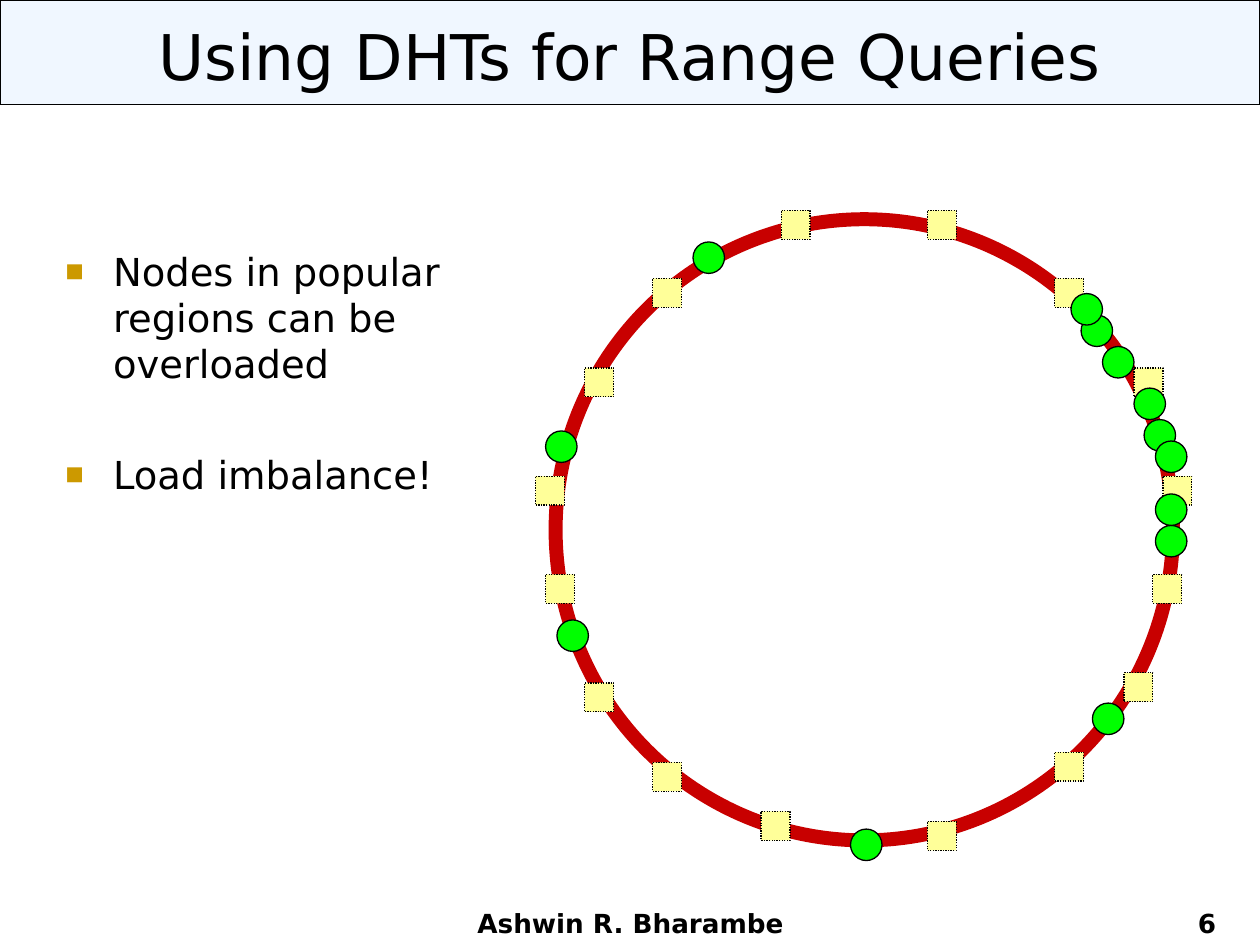
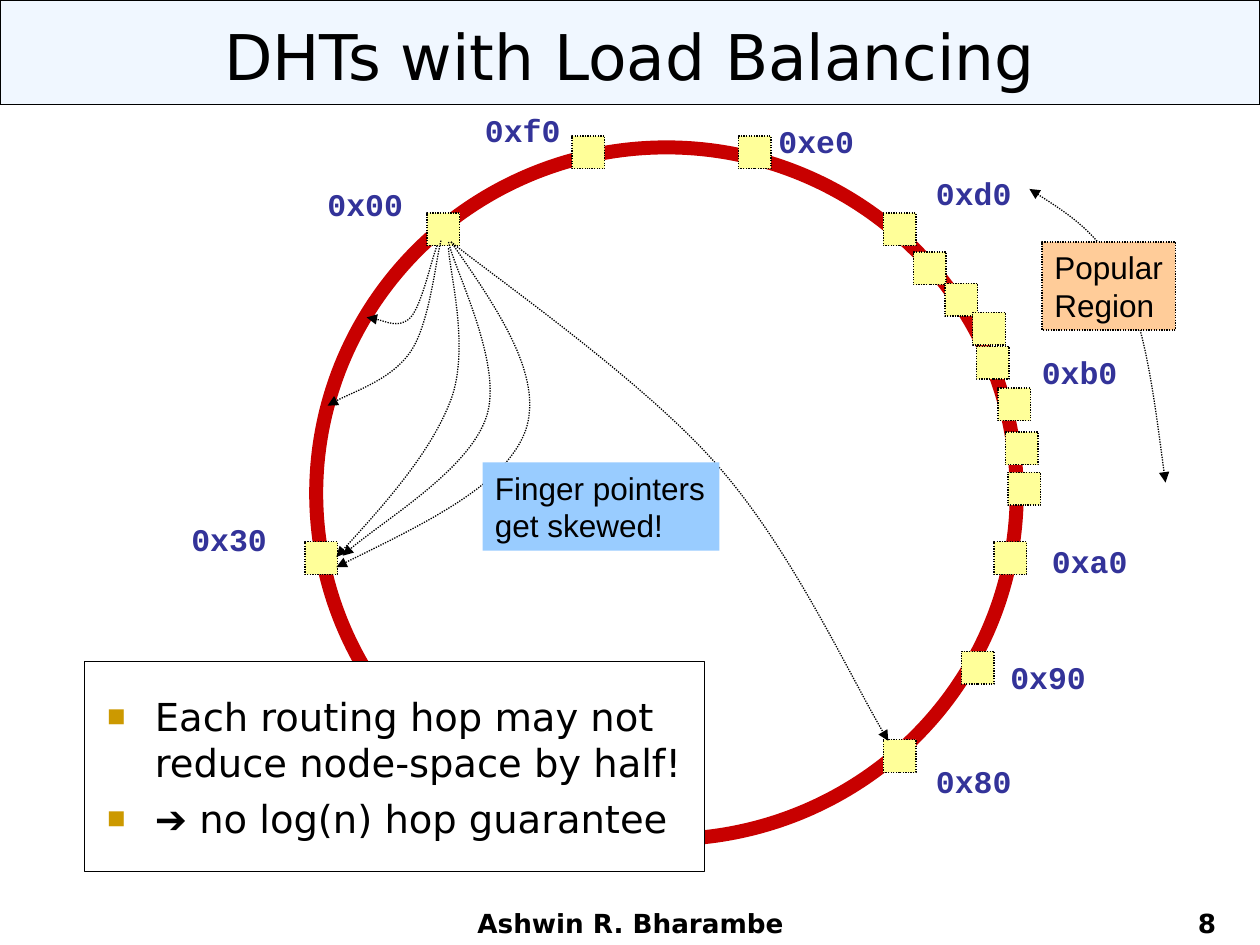
import pptx
import pptx.util
import pptx.dml.color
import pptx.enum.dml
import pptx.enum.shapes
import pptx.enum.text
import pptx.oxml.ns
import lxml.etree

Inches = pptx.util.Inches
qn = pptx.oxml.ns.qn
SHAPE = pptx.enum.shapes.MSO_SHAPE
ALIGN = pptx.enum.text.PP_ALIGN
ANCHOR = pptx.enum.text.MSO_ANCHOR
FIT = pptx.enum.text.MSO_AUTO_SIZE
DOTTED = pptx.enum.dml.MSO_LINE.ROUND_DOT

COLORS = {
    "black": "000000",
    "white": "FFFFFF",
    "band": "F0F7FF",
    "ring": "C80000",
    "node": "FFFF99",
    "item": "00FF00",
    "bullet": "CC9900",
    "address": "333399",
    "finger": "99CCFF",
    "popular": "FFCC99",
}
BODY_FONT = "DejaVu Sans"


def rgb(name):
    return pptx.dml.color.RGBColor.from_string(COLORS[name])


def add_box(page, at, text=(), kind=None, fill=None, line=None, weight=0.75, dash=None,
            font=BODY_FONT, size=18, color="black", bold=False, align=ALIGN.LEFT,
            anchor=ANCHOR.TOP, wrap=True, bullets=False, gap=5.5, inset=0.1):
    place = [Inches(length) for length in at]
    if kind is None:
        box = page.shapes.add_textbox(*place)
    else:
        box = page.shapes.add_shape(kind, *place)
        box.shadow.inherit = False
    if fill:
        box.fill.solid()
        box.fill.fore_color.rgb = rgb(fill)
    else:
        box.fill.background()
    if line:
        box.line.color.rgb = rgb(line)
        box.line.width = pptx.util.Pt(weight)
        if dash:
            box.line.dash_style = dash
    else:
        box.line.fill.background()
    frame = box.text_frame
    frame.word_wrap = wrap
    frame.auto_size = FIT.NONE if wrap else FIT.SHAPE_TO_FIT_TEXT
    frame.vertical_anchor = anchor
    frame.margin_left = Inches(inset)
    for index, content in enumerate([text] if isinstance(text, str) else text):
        para = frame.add_paragraph() if index else frame.paragraphs[0]
        para.alignment = align
        if bullets:
            para.space_before = pptx.util.Pt(gap if index else 5.5)
            props = para._p.get_or_add_pPr()
            props.set("marL", str(Inches(0.38)))
            props.set("indent", str(-Inches(0.38)))
            tint = lxml.etree.SubElement(props, qn("a:buClr"))
            lxml.etree.SubElement(tint, qn("a:srgbClr"), val=COLORS["bullet"])
            lxml.etree.SubElement(props, qn("a:buSzPct"), val="80000")
            lxml.etree.SubElement(props, qn("a:buFont"), typeface="Arial")
            lxml.etree.SubElement(props, qn("a:buChar"), char="■")
        for words, face in [(content, font)] if isinstance(content, str) else content:
            span = para.add_run()
            span.text = words
            span.font.name = face
            span.font.size = pptx.util.Pt(size)
            span.font.bold = bold
            span.font.color.rgb = rgb(color)
    return box


deck = pptx.Presentation()
deck.slide_width = Inches(10)
deck.slide_height = Inches(7.5)

pages = []
for title, number in [("Using DHTs for Range Queries", "6"), ("DHTs with Load Balancing", "8")]:
    page = deck.slides.add_slide(deck.slide_layouts[6])
    add_box(page, (0, 0, 10, 0.83), kind=SHAPE.RECTANGLE, fill="band", line="black")
    add_box(page, (0.5, 0.06, 9, 0.75), title, size=36, align=ALIGN.CENTER, anchor=ANCHOR.MIDDLE)
    add_box(page, (3.42, 7.33, 3.17, 0.17), "Ashwin R. Bharambe", size=15, bold=True,
            align=ALIGN.CENTER, anchor=ANCHOR.BOTTOM)
    add_box(page, (7.42, 7.25, 2.33, 0.25), number, size=15, bold=True,
            align=ALIGN.RIGHT, anchor=ANCHOR.BOTTOM)
    pages.append(page)
range_page, balance_page = pages

range_nodes = [
    (5.18, 2.21), (4.64, 2.92), (4.25, 3.78), (4.33, 4.56), (4.64, 5.42), (5.18, 6.05),
    (6.2, 1.67), (6.04, 6.44), (8.37, 2.21), (9, 2.92), (9.23, 3.78), (9.15, 4.56),
    (8.92, 5.34), (8.37, 5.97), (7.36, 1.67), (7.36, 6.52),
]
balance_nodes = [
    (3.39, 1.69), (7.25, 2), (7.92, 3.08), (2.42, 4.3), (7.5, 2.25), (7.75, 2.75),
    (4.54, 1.08), (8, 3.75), (7.01, 1.69), (7.72, 2.48), (7.98, 3.43), (7.89, 4.3),
    (7.63, 5.17), (7.01, 5.87), (5.86, 1.08),
]
for page, ring, nodes, side in [
    (range_page, (4.41, 1.74, 4.9, 4.93), range_nodes, 0.23),
    (balance_page, (2.51, 1.17, 5.56, 5.49), balance_nodes, 0.26),
]:
    add_box(page, ring, kind=SHAPE.OVAL, line="ring", weight=8)
    for left, top in nodes:
        add_box(page, (left, top, side, side), kind=SHAPE.RECTANGLE, fill="node",
                line="black", dash=DOTTED)

items = [
    (5.5, 1.92), (8.58, 2.5), (9.08, 3.33), (9.17, 4.17), (9.17, 3.5), (8.5, 2.33),
    (8.75, 2.75), (4.42, 4.92), (9.17, 3.92), (9, 3.08), (4.33, 3.42), (8.67, 5.58),
    (6.75, 6.58),
]
for left, top in items:
    add_box(range_page, (left, top, 0.25, 0.25), kind=SHAPE.OVAL, fill="item", line="black")

add_box(range_page, (0.42, 1.58, 3.75, 2.75),
        ["Nodes in popular regions can be overloaded", "Load imbalance!"],
        fill="white", size=22, anchor=ANCHOR.MIDDLE, bullets=True, gap=37)

popular_span = [(8.17, 1.5), (8.45, 1.68), (8.74, 1.86), (8.92, 2.25),
                (9.1, 2.64), (9.17, 3.24), (9.25, 3.83)]
fingers = [
    [(3.56, 1.97), (3.57, 2.17), (3.73, 2.76), (3.58, 3.17), (3.43, 3.57), (3.06, 4), (2.67, 4.42)],
    [(3.58, 1.92), (3.95, 2.45), (4.32, 2.99), (4.17, 3.42), (4.01, 3.85), (3.34, 4.17), (2.67, 4.5)],
    [(3.58, 1.92), (3.94, 2.21), (5.13, 3.04), (5.7, 3.7), (6.28, 4.36), (6.77, 5.42), (7.05, 5.88)],
    [(3.56, 1.92), (3.61, 2.15), (4, 2.9), (3.86, 3.31), (3.72, 3.73), (2.96, 4.18), (2.72, 4.41)],
    [(3.47, 1.95), (3.43, 2.04), (3.35, 2.42), (3.26, 2.52), (3.17, 2.61), (2.98, 2.52), (2.91, 2.52)],
    [(3.5, 1.91), (3.46, 2.06), (3.41, 2.57), (3.26, 2.79), (3.11, 3.01), (2.74, 3.13), (2.6, 3.22)],
]
for points, ends in [(popular_span, ("a:headEnd", "a:tailEnd"))] + [
    (finger, ("a:tailEnd",)) for finger in fingers
]:
    corners = [(Inches(x), Inches(y)) for x, y in points]
    builder = balance_page.shapes.build_freeform(*corners[0])
    builder.add_line_segments(corners[1:], close=False)
    arrow = builder.convert_to_shape()
    arrow.shadow.inherit = False
    arrow.fill.background()
    arrow.line.color.rgb = rgb("black")
    arrow.line.width = pptx.util.Pt(0.75)
    arrow.line.dash_style = DOTTED
    for end in ends:
        lxml.etree.SubElement(arrow.line._get_or_add_ln(), qn(end), type="triangle")
    outline = arrow.element.xpath(".//a:path")[0]
    steps = list(outline)[1:]
    for start in range(0, len(steps), 3):
        bend = lxml.etree.SubElement(outline, qn("a:cubicBezTo"))
        for step in steps[start:start + 3]:
            bend.append(step[0])
            outline.remove(step)

addresses = [
    ("0x00", 2.5, 1.42), ("0x30", 1.42, 4.08), ("0xa0", 8.25, 4.25), ("0xb0", 8.17, 2.75),
    ("0xd0", 7.33, 1.33), ("0x90", 7.92, 5.17), ("0x80", 7.33, 6), ("0xf0", 3.75, 0.83),
    ("0xe0", 6.08, 0.92),
]
for address, left, top in addresses:
    add_box(balance_page, (left, top, 0.8, 0.4), address, font="Courier New",
            color="address", bold=True, wrap=False)

add_box(balance_page, (3.83, 3.67, 1.88, 0.7), ["Finger pointers", "get skewed!"],
        fill="finger", font="Arial", wrap=False)
add_box(balance_page, (8.27, 1.92, 1.06, 0.7), ["Popular", "Region"],
        fill="popular", line="black", dash=DOTTED, font="Arial", wrap=False)
add_box(balance_page, (0.67, 5.25, 4.92, 1.67),
        ["Each routing hop may not reduce node-space by half!",
         [("➔", "Arial"), (" no log(n) hop guarantee", BODY_FONT)]],
        fill="white", line="black", size=22, anchor=ANCHOR.MIDDLE, bullets=True, inset=0.18)

deck.save("out.pptx")
